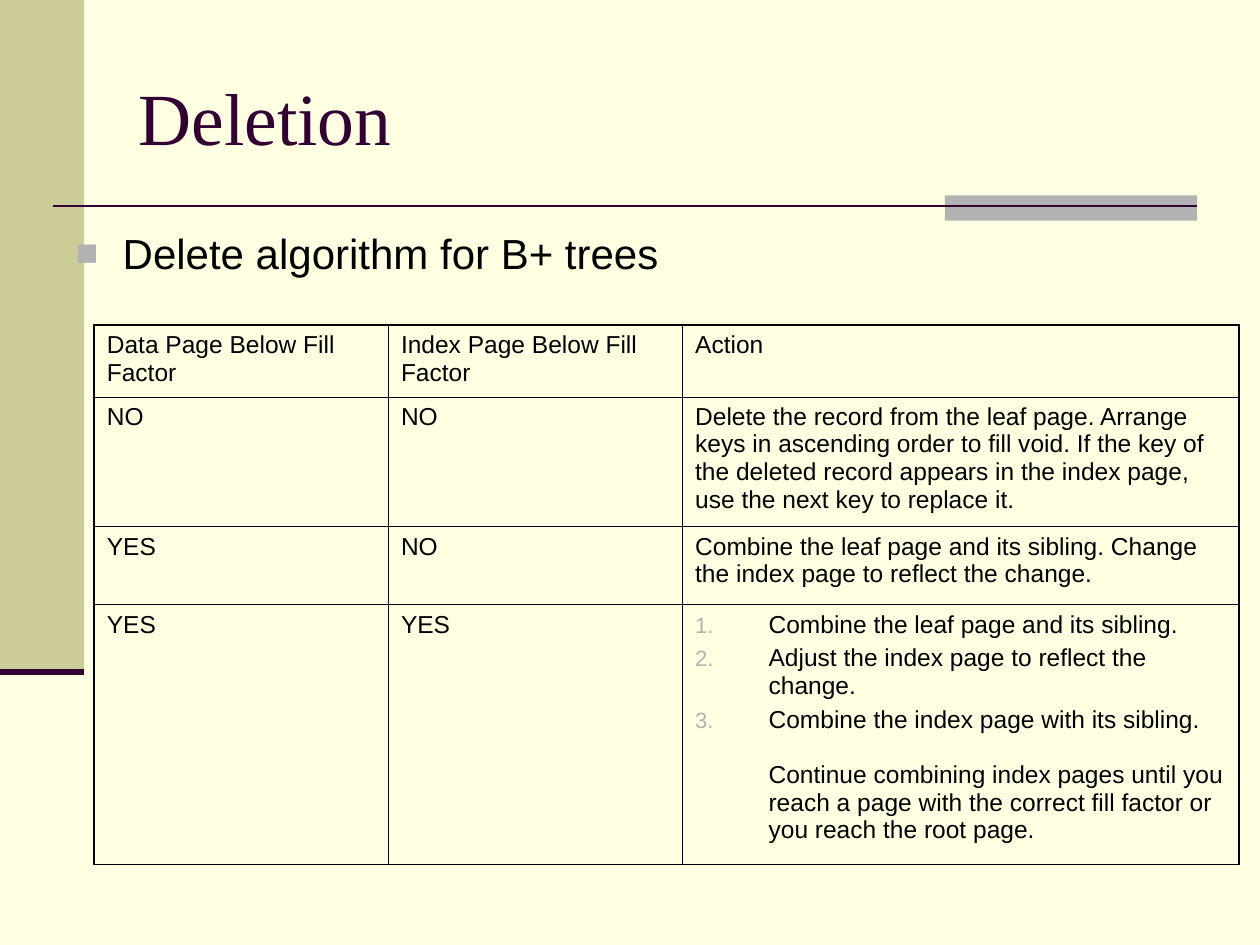
from dataclasses import dataclass

import pptx
import pptx.dml.color
import pptx.enum.shapes
import pptx.enum.text
import pptx.oxml.ns
import pptx.util
from lxml import etree
from pptx.util import Cm, Pt

INK, ACCENT, SAND, GREY, CREAM = "000000", "330033", "CCCC99", "B2B2B2", "FFFFE1"
OUTER, INNER = 1.08, 0.45  # table border widths in points


@dataclass
class Band:
    left: float
    top: float
    width: float
    height: float
    color: str


@dataclass
class Rule:
    left: float
    right: float
    y: float
    weight: float


@dataclass
class Item:
    text: str
    numbered: bool = True
    gap: float = 3.5


BANDS = [Band(0, 0, 1.7, 13.55, SAND), Band(19.05, 3.94, 5.08, 0.51, GREY)]
RULES = [Rule(1.06, 24.13, 4.15, 1.5), Rule(0, 1.7, 13.55, 3.5)]
COLUMNS = [5.93, 5.93, 11.22]
HEIGHTS = [1.45, 2.62, 1.57, 5.24]
ROWS = [
    ["Data Page Below Fill Factor", "Index Page Below Fill Factor", [Item("Action", False)]],
    ["NO", "NO", "Delete the record from the leaf page. Arrange keys in ascending order to fill "
     "void. If the key of the deleted record appears in the index page, use the next key to "
     "replace it."],
    ["YES", "NO", "Combine the leaf page and its sibling. Change the index page to reflect "
     "the change."],
    ["YES", "YES", [
        Item("Combine the leaf page and its sibling."),
        Item("Adjust the index page to reflect the change."),
        Item("Combine the index page with its sibling."),
        Item("Continue combining index pages until you reach a page with the correct fill "
             "factor or you reach the root page.", False, 16),
    ]],
]
ROWS[0][2] = "Action"


def rgb(color: str) -> pptx.dml.color.RGBColor:
    return pptx.dml.color.RGBColor.from_string(color)


def add_child(parent, tag: str, **attributes: str):
    return etree.SubElement(parent, pptx.oxml.ns.qn(tag), attributes)


def style(para, font: str, size: float, color: str) -> None:
    para.font.name = font
    para.font.size = Pt(size)
    para.font.color.rgb = rgb(color)


def indent(para, left: float, first: float) -> None:
    properties = para._p.get_or_add_pPr()
    properties.set("marL", str(Cm(left)))
    properties.set("indent", str(Cm(first)))


def add_bullet(para, tag: str, **attributes: str) -> None:
    properties = para._p.get_or_add_pPr()
    add_child(add_child(properties, "a:buClr"), "a:srgbClr", val=GREY)
    add_child(properties, "a:buSzPct", val="90000")
    add_child(properties, "a:buFont", typeface="Arial")
    add_child(properties, tag, **attributes)


def draw_band(page, band: Band) -> None:
    shape = page.shapes.add_shape(
        pptx.enum.shapes.MSO_SHAPE.RECTANGLE,
        Cm(band.left), Cm(band.top), Cm(band.width), Cm(band.height))
    shape.shadow.inherit = False
    shape.fill.solid()
    shape.fill.fore_color.rgb = rgb(band.color)
    shape.line.fill.background()


def draw_rule(page, rule: Rule) -> None:
    line = page.shapes.add_connector(
        pptx.enum.shapes.MSO_CONNECTOR.STRAIGHT,
        Cm(rule.left), Cm(rule.y), Cm(rule.right), Cm(rule.y))
    line.line.color.rgb = rgb(ACCENT)
    line.line.width = Pt(rule.weight)
    add_child(line.element.spPr, "a:effectLst")


def fill_placeholder(box, text: str, left: float, top: float, width: float, height: float):
    """Place the box above the decoration and return its paragraph."""
    box.element.getparent().append(box.element)
    box.left, box.top, box.width, box.height = Cm(left), Cm(top), Cm(width), Cm(height)
    frame = box.text_frame
    frame.text = text
    frame.word_wrap = True
    frame.auto_size = pptx.enum.text.MSO_AUTO_SIZE.NONE
    para = frame.paragraphs[0]
    para.alignment = pptx.enum.text.PP_ALIGN.LEFT
    para.space_before = Pt(0)
    return para


def set_borders(cell, row: int, column: int) -> None:
    properties = cell._tc.get_or_add_tcPr()
    edges = {
        "a:lnL": column == 0,
        "a:lnR": column == len(COLUMNS) - 1,
        "a:lnT": row == 0,
        "a:lnB": row == len(HEIGHTS) - 1,
    }
    for tag, is_outer in edges.items():
        line = add_child(properties, tag, w=str(Pt(OUTER if is_outer else INNER)))
        add_child(add_child(line, "a:solidFill"), "a:srgbClr", val=INK)


def fill_cell(cell, content: str | list[Item]) -> None:
    items = [Item(content, False)] if isinstance(content, str) else content
    frame = cell.text_frame
    for number, item in enumerate(items):
        para = frame.paragraphs[0] if number == 0 else frame.add_paragraph()
        para.text = item.text
        para.space_before = Pt(item.gap if number else 0)
        if len(items) > 1:
            indent(para, 1.48, -1.48 if item.numbered else 0)
        if item.numbered:
            add_bullet(para, "a:buAutoNum", type="arabicPeriod")
        style(para, "Arial", 14, INK)


def draw_table(page) -> None:
    table = page.shapes.add_table(
        len(HEIGHTS), len(COLUMNS), Cm(1.9), Cm(6.55),
        Cm(sum(COLUMNS)), Cm(sum(HEIGHTS))).table
    table.first_row = table.horz_banding = False
    for column, width in zip(table.columns, COLUMNS):
        column.width = Cm(width)
    for row, height in enumerate(HEIGHTS):
        table.rows[row].height = Cm(height)
        for column, content in enumerate(ROWS[row]):
            cell = table.cell(row, column)
            set_borders(cell, row, column)
            cell.fill.background()
            fill_cell(cell, content)


def main() -> None:
    deck = pptx.Presentation()
    deck.slide_width, deck.slide_height = Cm(25.4), Cm(19.05)
    page = deck.slides.add_slide(deck.slide_layouts[1])
    page.background.fill.solid()
    page.background.fill.fore_color.rgb = rgb(CREAM)
    title, body = page.placeholders

    # Decoration
    for band in BANDS:
        draw_band(page, band)
    for rule in RULES:
        draw_rule(page, rule)

    # Title and bullet
    para = fill_placeholder(title, "Deletion", 2.54, 0.76, 21.59, 3.18)
    title.text_frame.vertical_anchor = pptx.enum.text.MSO_ANCHOR.MIDDLE
    style(para, "Times New Roman", 42, ACCENT)
    para = fill_placeholder(body, "Delete algorithm for B+ trees", 1.27, 4.45, 24.13, 12.57)
    indent(para, 0.95, -0.95)
    add_bullet(para, "a:buChar", char="■")
    style(para, "Arial", 24, INK)

    # Deletion cases
    draw_table(page)
    deck.save("out.pptx")


if __name__ == "__main__":
    main()
